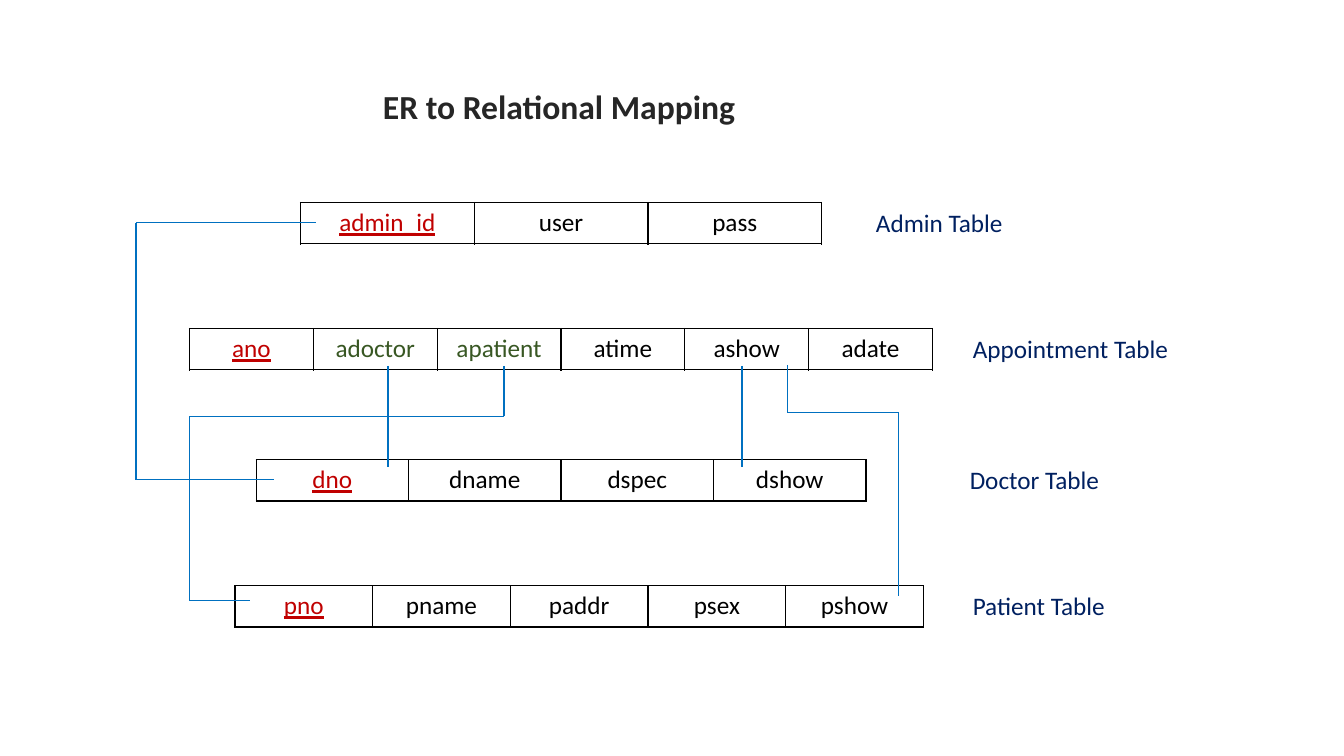
import dataclasses
import itertools

import lxml.etree
import pptx
import pptx.dml.color
import pptx.enum.shapes
import pptx.enum.text
import pptx.oxml.ns
import pptx.util

Inches = pptx.util.Inches


@dataclasses.dataclass(frozen=True)
class Theme:
    font: str = "Calibri"
    title_size: int = 24
    text_size: int = 18
    line_width: int = 1
    title: str = "262626"
    label: str = "002060"
    primary: str = "C00000"
    foreign: str = "385723"
    plain: str = "000000"
    border: str = "000000"
    link: str = "0070C0"


@dataclasses.dataclass(frozen=True)
class Box:
    left: float
    top: float
    width: float
    height: float

    def lengths(self):
        return [Inches(value) for value in dataclasses.astuple(self)]


THEME = Theme()
FOREIGN_KEYS = {"adoctor", "apatient"}
ROW_HEIGHT = 0.41
LABEL_HEIGHT = 0.4

RELATIONS = [
    (Box(2.98, 2.01, 5.17, ROW_HEIGHT), ["admin_id", "user", "pass"], "Admin Table", 8.59, 1.47),
    (Box(1.88, 3.26, 7.37, ROW_HEIGHT), ["ano", "adoctor", "apatient", "atime", "ashow", "adate"],
     "Appointment Table", 9.55, 2.16),
    (Box(2.54, 4.56, 6.05, ROW_HEIGHT), ["dno", "dname", "dspec", "dshow"], "Doctor Table", 9.52, 1.5),
    (Box(2.33, 5.81, 6.83, ROW_HEIGHT), ["pno", "pname", "paddr", "psex", "pshow"],
     "Patient Table", 9.55, 1.53),
]

LINKS = [
    [(3.13, 2.21), (1.35, 2.21), (1.35, 4.76), (2.72, 4.76)],
    [(7.81, 3.62), (7.81, 4.09), (8.91, 4.09), (8.91, 5.91)],
    [(7.36, 3.63), (7.36, 4.63)],
    [(3.85, 3.63), (3.85, 4.63)],
    [(5, 3.63), (5, 4.13), (1.88, 4.13), (1.88, 5.96), (2.48, 5.96)],
]


def set_all(target, values):
    for name, value in values.items():
        setattr(target, name, value)


def write(frame, text, color, align=None, **changes):
    para = frame.paragraphs[0]
    para.alignment = align
    span = para.add_run()
    span.text = text
    formats = {"name": THEME.font, "size": pptx.util.Pt(THEME.text_size), "bold": False}
    set_all(span.font, formats | changes)
    span.font.color.rgb = pptx.dml.color.RGBColor.from_string(color)


def add_text(page, box, text, color, **changes):
    frame = page.shapes.add_textbox(*box.lengths()).text_frame
    set_all(frame, {"word_wrap": False, "auto_size": pptx.enum.text.MSO_AUTO_SIZE.SHAPE_TO_FIT_TEXT})
    write(frame, text, color, **changes)


def outline_cell(cell):
    properties = cell._tc.get_or_add_tcPr()
    qn = pptx.oxml.ns.qn
    for position, side in enumerate(("a:lnL", "a:lnR", "a:lnT", "a:lnB")):
        line = lxml.etree.Element(qn(side), w=str(pptx.util.Pt(THEME.line_width)))
        fill = lxml.etree.SubElement(line, qn("a:solidFill"))
        lxml.etree.SubElement(fill, qn("a:srgbClr"), val=THEME.border)
        properties.insert(position, line)


def add_relation_table(page, box, fields):
    table = page.shapes.add_table(1, len(fields), *box.lengths()).table
    set_all(table, {"first_row": False, "horz_banding": False})
    for index, field in enumerate(fields):
        table.columns[index].width = Inches(box.width / len(fields))
        cell = table.cell(0, index)
        cell.fill.background()
        outline_cell(cell)
        is_primary = index == 0
        other = THEME.foreign if field in FOREIGN_KEYS else THEME.plain
        color = THEME.primary if is_primary else other
        write(cell.text_frame, field, color, pptx.enum.text.PP_ALIGN.CENTER, underline=is_primary)


def add_relation(page, box, fields, label, label_left, label_width):
    add_relation_table(page, box, fields)
    add_text(page, Box(label_left, box.top, label_width, LABEL_HEIGHT), label, THEME.label)


def add_link(page, points):
    for start, end in itertools.pairwise(points):
        ends = [Inches(value) for value in start + end]
        link = page.shapes.add_connector(pptx.enum.shapes.MSO_CONNECTOR.STRAIGHT, *ends)
        link.line.width = pptx.util.Pt(THEME.line_width)
        link.line.color.rgb = pptx.dml.color.RGBColor.from_string(THEME.link)
        lxml.etree.SubElement(link._element.spPr, pptx.oxml.ns.qn("a:effectLst"))


def build_mapping_slide(page):
    add_text(page, Box(3.7, 0.8, 3.73, 0.5), "ER to Relational Mapping", THEME.title,
             size=pptx.util.Pt(THEME.title_size), bold=True)
    for relation in RELATIONS:
        add_relation(page, *relation)
    for points in LINKS:
        add_link(page, points)


def main():
    deck = pptx.Presentation()
    set_all(deck, {"slide_width": Inches(13.33), "slide_height": Inches(7.5)})
    build_mapping_slide(deck.slides.add_slide(deck.slide_layouts[6]))
    deck.save("out.pptx")


if __name__ == "__main__":
    main()
